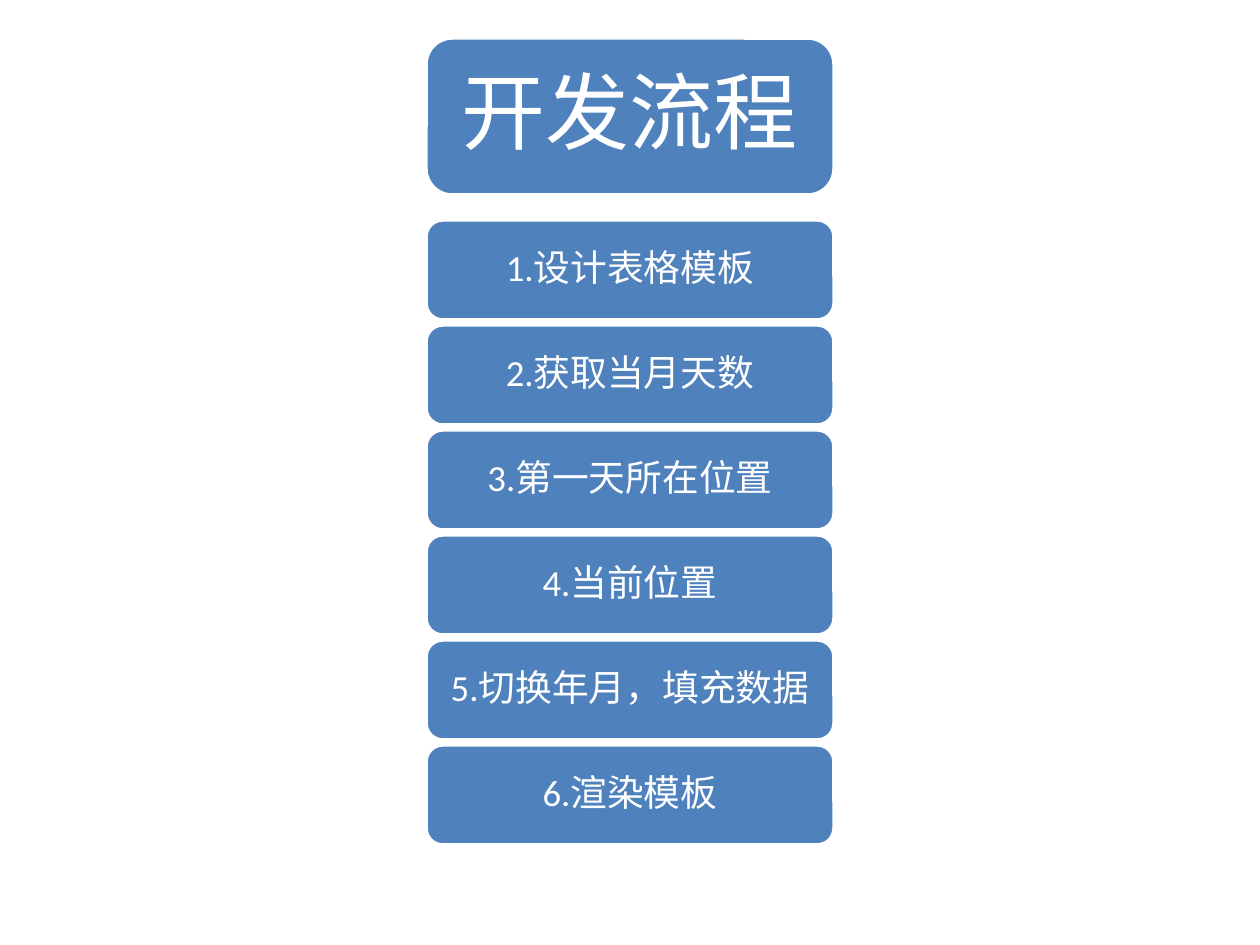
"""Build a slide with a heading card above a column of six step cards."""
from dataclasses import dataclass
from typing import Any

from pptx import Presentation
from pptx.dml.color import RGBColor
from pptx.enum.shapes import MSO_SHAPE
from pptx.enum.text import MSO_ANCHOR, MSO_AUTO_SIZE, PP_ALIGN
from pptx.util import Emu, Pt


@dataclass(frozen=True)
class Theme:
    """Colours, font and type sizes of the slide."""
    fill: RGBColor = RGBColor(0x4F, 0x81, 0xBD)
    white: RGBColor = RGBColor(0xFF, 0xFF, 0xFF)
    font: str = "Calibri"
    head: int = 48
    step: int = 21
    line: int = 2


@dataclass(frozen=True)
class Box:
    """A rectangle in px."""
    left: int
    top: int
    width: int
    height: int

    def inset(self, gap: int) -> "Box":
        """Return the box shrunk by gap on every side."""
        return Box(self.left + gap, self.top + gap,
                   self.width - 2 * gap, self.height - 2 * gap)


THEME = Theme()
HEAD = Box(426, 38, 408, 157)
FIRST = Box(426, 220, 408, 100)
PITCH = 105
STEPS = ("设计表格模板", "获取当月天数", "第一天所在位置",
         "当前位置", "切换年月，填充数据", "渲染模板")


def px(count: int) -> Emu:
    """Turn px into EMU at 126 px to the inch."""
    return Emu(round(count * 914400 / 126))


def add_card(slide: Any, box: Box) -> Any:
    """Draw a rounded blue card with a white edge."""
    card = slide.shapes.add_shape(
        MSO_SHAPE.ROUNDED_RECTANGLE, px(box.left), px(box.top),
        px(box.width), px(box.height))
    card.shadow.inherit = False
    card.fill.solid()
    card.fill.fore_color.rgb = THEME.fill
    card.line.color.rgb = THEME.white
    card.line.width = Pt(THEME.line)
    return card


def set_text(shape: Any, text: str, size: int, side: int, edge: int) -> None:
    """Write one centred white line into a shape."""
    frame = shape.text_frame
    frame.text = text
    frame.word_wrap = True
    frame.auto_size = MSO_AUTO_SIZE.NONE
    frame.vertical_anchor = MSO_ANCHOR.MIDDLE
    frame.margin_left = frame.margin_right = px(side)
    frame.margin_top = frame.margin_bottom = px(edge)
    para = frame.paragraphs[0]
    para.alignment = PP_ALIGN.CENTER
    para.line_spacing = 0.9
    para.space_after = Pt(round(size * 0.35, 1))
    font = para.runs[0].font
    font.name = THEME.font
    font.size = Pt(size)
    font.color.rgb = THEME.white


def add_head(slide: Any, text: str) -> None:
    """Place the title on its card."""
    add_card(slide, HEAD)
    title = slide.shapes.title
    title.element.getparent().append(title.element)
    box = HEAD.inset(8)
    title.left, title.top = px(box.left), px(box.top)
    title.width, title.height = px(box.width), px(box.height)
    set_text(title, text, THEME.head, 25, 13)


def add_steps(slide: Any) -> None:
    """Stack the numbered step cards."""
    for row, name in enumerate(STEPS):
        box = Box(FIRST.left, FIRST.top + row * PITCH,
                  FIRST.width, FIRST.height)
        set_text(add_card(slide, box), f"{row + 1}.{name}",
                 THEME.step, 16, 10)


def main() -> None:
    """Build and save the deck."""
    deck = Presentation()
    deck.slide_width, deck.slide_height = px(1260), px(945)
    slide = deck.slides.add_slide(deck.slide_layouts[5])
    add_head(slide, "开发流程")
    add_steps(slide)
    deck.save("out.pptx")


if __name__ == "__main__":
    main()
